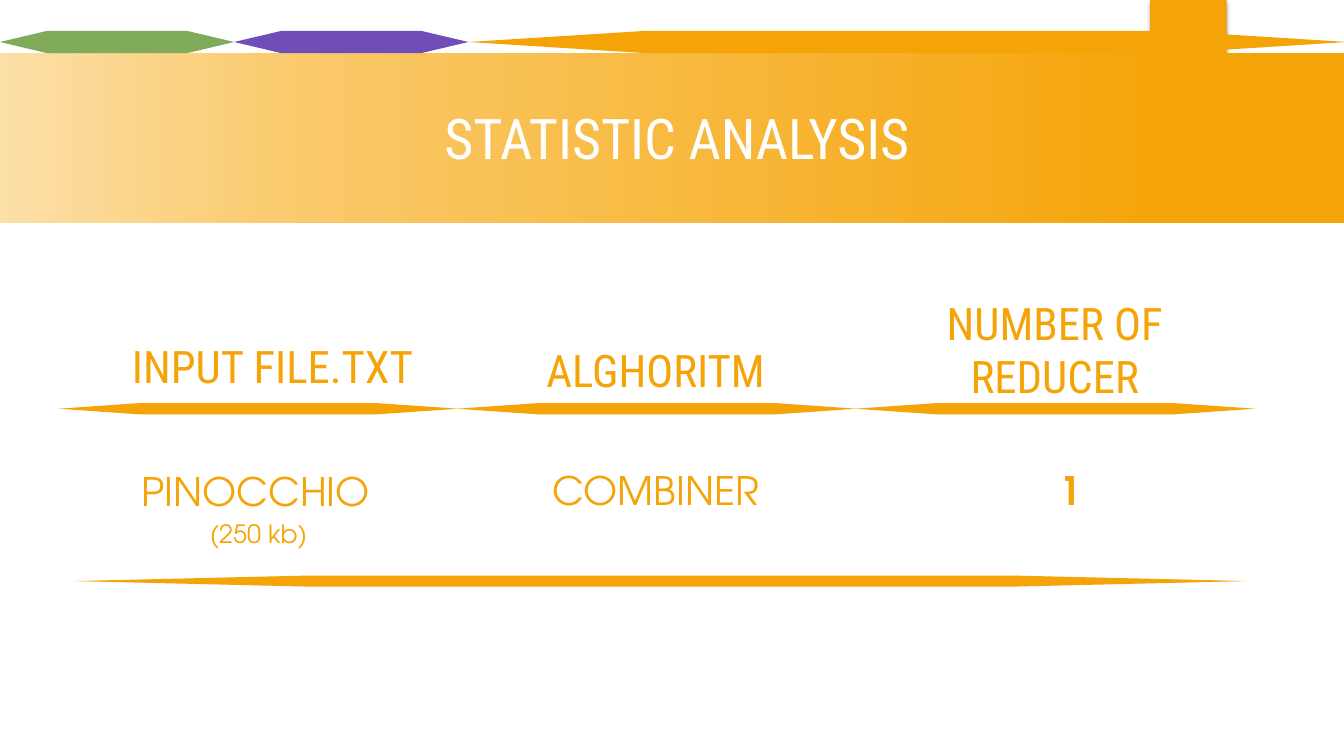
from copy import deepcopy

from lxml.etree import SubElement
from pptx import Presentation
from pptx.dml.color import RGBColor
from pptx.enum.shapes import MSO_SHAPE as Preset
from pptx.enum.text import MSO_AUTO_SIZE as AutoSize, PP_ALIGN as Align
from pptx.oxml.ns import qn
from pptx.util import Pt

ORANGE = "F5A408"
GREEN = "7FAB5B"
PURPLE = "6F4EB7"
WHITE = "FFFFFF"
HEADING_FONT = "Roboto Condensed"
VALUE_FONT = "TeX Gyre Adventor"


def color(value):
    return RGBColor.from_string(value)


def add_block(slide, preset, left, top, width, height, fill=ORANGE):
    shape = slide.shapes.add_shape(preset, Pt(left), Pt(top), Pt(width), Pt(height))
    shape.shadow.inherit = False
    shape.line.fill.background()
    shape.fill.solid()
    shape.fill.fore_color.rgb = color(fill)
    return shape


def add_bar(slide, left, top, width, height, fill=ORANGE):
    return add_block(slide, Preset.FLOWCHART_PREPARATION, left, top, width, height, fill)


def add_shadow(shape):
    effects = shape._element.spPr.find(qn("a:effectLst"))
    shadow = SubElement(effects, qn("a:outerShdw"), blurRad=str(Pt(3)),
                        dist=str(Pt(2)), dir="5400000", rotWithShape="0")
    black = SubElement(shadow, qn("a:srgbClr"), val="000000")
    SubElement(black, qn("a:alpha"), val="45000")


def set_gradient(shape, stops, angle):
    fill = shape.fill
    fill.gradient()
    fill.gradient_angle = angle
    stop_list = shape._element.spPr.find(".//" + qn("a:gsLst"))
    while len(stop_list) < len(stops):
        stop_list.append(deepcopy(stop_list[0]))
    for stop, (position, value) in zip(fill.gradient_stops, stops):
        stop.position = position
        stop.color.rgb = color(value)


def add_text(slide, text, left, top, width, height, size, font_name,
             fill=ORANGE, align=Align.CENTER, bold=False):
    box = slide.shapes.add_textbox(Pt(left), Pt(top), Pt(width), Pt(height))
    frame = box.text_frame
    frame.word_wrap = True
    frame.auto_size = AutoSize.SHAPE_TO_FIT_TEXT
    paragraph = frame.paragraphs[0]
    paragraph.text = text
    paragraph.alignment = align
    paragraph.font.name = font_name
    paragraph.font.size = Pt(size)
    paragraph.font.bold = bold
    paragraph.font.color.rgb = color(fill)


def add_banner(slide):
    add_shadow(add_block(slide, Preset.RECTANGLE, 822.2, 0, 54, 90))
    band = add_block(slide, Preset.ROUNDED_RECTANGLE, -130.3, 37.7, 1206, 121.5)
    set_gradient(band, [(0.2, ORANGE), (0.71, "FAC96A"), (1, "FDEDCD")], 180)
    for left, width, fill in [(0, 167.3, GREEN), (167.3, 167.3, PURPLE),
                              (334.6, 627.8, ORANGE)]:
        add_bar(slide, left, 22.1, width, 15.8, fill)
    add_block(slide, Preset.RECTANGLE, 821.5, -2.2, 53.5, 90.7)
    add_text(slide, "STATISTIC ANALYSIS", 310.3, 70.6, 405.4, 55.4, 40,
             HEADING_FONT, WHITE, Align.LEFT)


def add_columns(slide):
    for column in range(3):
        add_bar(slide, 41.6 + 284.6 * column, 288, 285.8, 7.9)
    headings = [
        ("INPUT FILE.TXT", 87.1, 238.3, 238.3, 46, Align.LEFT),
        ("ALGHORITM", 362.9, 241.2, 211, 46, Align.CENTER),
        ("NUMBER OF REDUCER", 621.4, 207.4, 264.2, 85, Align.CENTER),
    ]
    for text, left, top, width, height, align in headings:
        add_text(slide, text, left, top, width, height, 32, HEADING_FONT, align=align)
    values = [
        ("PINOCCHIO", 39.6, 330.5, 285.8, 41, 28, False),
        ("COMBINER", 349.2, 329.8, 238.3, 41, 28, False),
        ("1", 645.8, 329.8, 238.3, 41, 28, True),
        ("(250 kb)", 112.3, 366.5, 144.7, 28.8, 18, False),
    ]
    for text, left, top, width, height, size, bold in values:
        add_text(slide, text, left, top, width, height, size, VALUE_FONT, bold=bold)
    add_bar(slide, 52.6, 411.1, 838.8, 7.9)


def main():
    presentation = Presentation()
    presentation.slide_width = Pt(960)
    presentation.slide_height = Pt(540)
    slide = presentation.slides.add_slide(presentation.slide_layouts[6])
    add_banner(slide)
    add_columns(slide)
    presentation.save("out.pptx")


if __name__ == "__main__":
    main()
